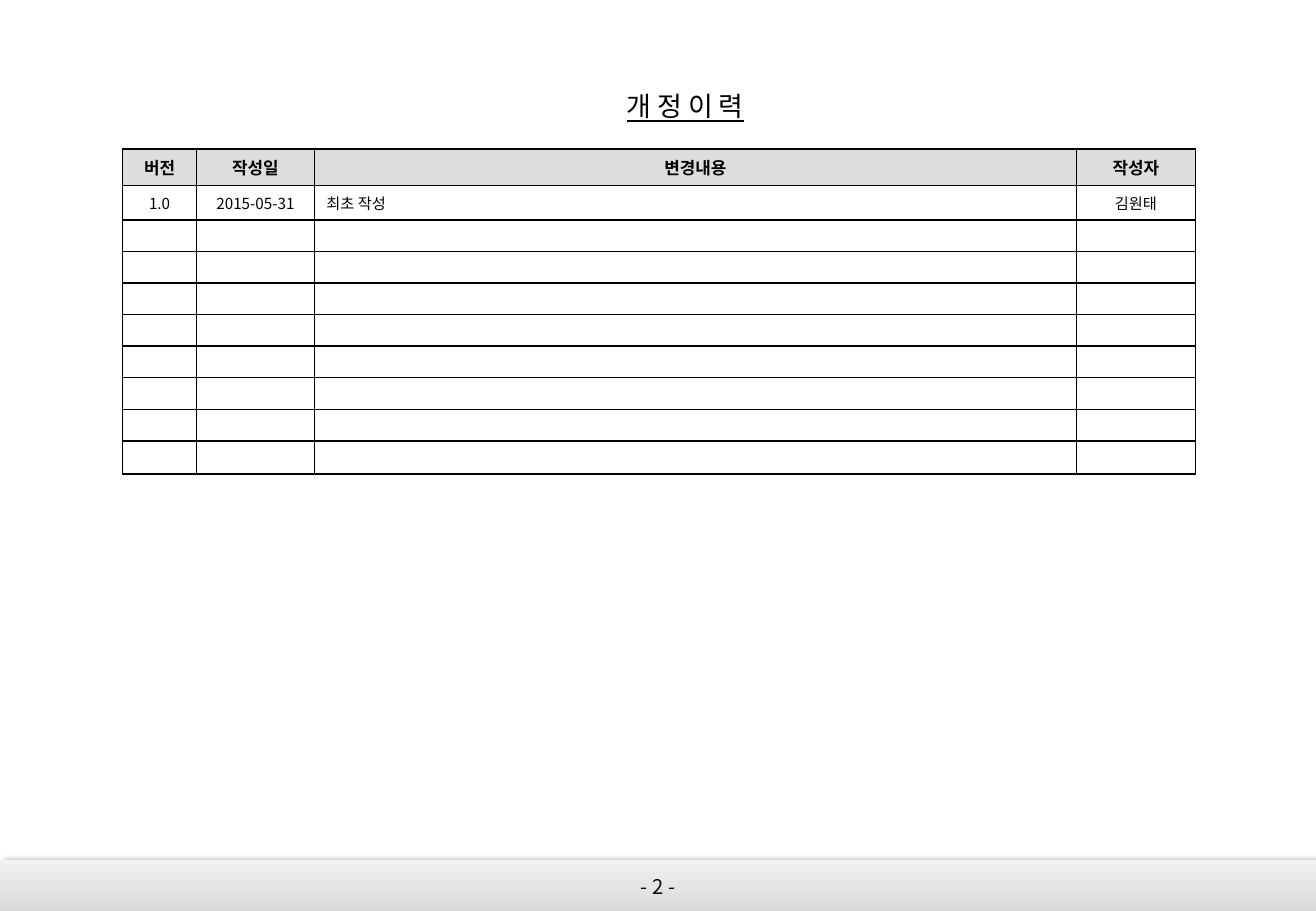
from lxml.etree import SubElement
from pptx import Presentation
from pptx.dml.color import RGBColor
from pptx.enum.shapes import MSO_SHAPE
from pptx.enum.text import MSO_ANCHOR, MSO_AUTO_SIZE, PP_ALIGN
from pptx.oxml.ns import qn
from pptx.util import Cm, Pt

FONT = "Noto Sans CJK KR"
COLORS = {
    "text": "000000",
    "number": "0D0D0D",
    "header": "DDDDDD",
    "border": "000000",
    "shadow": "000000",
    "band_bottom": "D8D8D8",
    "band_top": "F2F2F2",
}
TITLE = {"size": Pt(16), "underline": True}
HEADER = {"size": Pt(10), "bold": True}
BODY = {"size": Pt(9), "bold": False}
NUMBER = {"size": Pt(12)}
FRAME = {
    "vertical_anchor": MSO_ANCHOR.MIDDLE,
    "auto_size": MSO_AUTO_SIZE.NONE,
}

COLUMN_WIDTHS = [1.55, 2.46, 15.93, 2.49]
ROW_HEIGHTS = [0.71] * 2 + [0.66] * 7 + [0.69]
HISTORY = [
    ["버전", "작성일", "변경내용", "작성자"],
    ["1.0", "2015-05-31", "최초 작성", "김원태"],
]
CHANGE_COLUMN = 2


def color(name):
    """Return a named colour."""
    return RGBColor.from_string(COLORS[name])


def apply_format(target, values):
    """Set each attribute from a dict of values."""
    for name, value in values.items():
        setattr(target, name, value)


def write(para, text, values, ink="text", align=PP_ALIGN.CENTER):
    """Write one formatted span in a paragraph."""
    para.alignment = align
    span = para.add_run()
    span.text = text
    apply_format(span.font, {"name": FONT, **values})
    span.font.color.rgb = color(ink)
    SubElement(span.font._element, qn("a:ea"), typeface=FONT)


def add_title(page, text):
    """Place and format the slide title."""
    title = page.shapes.title
    apply_format(title, {"left": Cm(12.52), "top": Cm(1.75),
                         "width": Cm(3.61), "height": Cm(0.94)})
    apply_format(title.text_frame, {**FRAME, "word_wrap": False})
    write(title.text_frame.paragraphs[0], text, TITLE)


def add_borders(cell):
    """Draw a thin line on every side of a cell."""
    properties = cell._tc.get_or_add_tcPr()
    for side in ("a:lnL", "a:lnR", "a:lnT", "a:lnB"):
        line = SubElement(properties, qn(side), w=str(Pt(1)))
        fill = SubElement(line, qn("a:solidFill"))
        SubElement(fill, qn("a:srgbClr"), val=COLORS["border"])


def format_cell(cell, row, column):
    """Fill, border and write one table cell."""
    cell.vertical_anchor = MSO_ANCHOR.MIDDLE
    add_borders(cell)
    if row == 0:
        cell.fill.solid()
        cell.fill.fore_color.rgb = color("header")
    else:
        cell.fill.background()
    para = cell.text_frame.paragraphs[0]
    if row < len(HISTORY):
        left = row > 0 and column == CHANGE_COLUMN
        write(para, HISTORY[row][column], BODY if row else HEADER,
              align=PP_ALIGN.LEFT if left else PP_ALIGN.CENTER)
    else:
        para._p.get_or_add_endParaRPr().set("sz", "700")


def add_history_table(page):
    """Add the revision table with its blank rows."""
    table = page.shapes.add_table(
        len(ROW_HEIGHTS), len(COLUMN_WIDTHS), Cm(2.56), Cm(3.12),
        Cm(sum(COLUMN_WIDTHS)), Cm(sum(ROW_HEIGHTS))).table
    apply_format(table, {"first_row": False, "horz_banding": False})
    for column, width in zip(table.columns, COLUMN_WIDTHS):
        column.width = Cm(width)
    for row, height in zip(table.rows, ROW_HEIGHTS):
        row.height = Cm(height)
    for row in range(len(ROW_HEIGHTS)):
        for column in range(len(COLUMN_WIDTHS)):
            format_cell(table.cell(row, column), row, column)


def add_shadow(shape):
    """Give a shape a soft shadow to the right."""
    shape.shadow.inherit = False
    effects = shape._element.spPr.find(qn("a:effectLst"))
    shadow = SubElement(effects, qn("a:outerShdw"), blurRad=str(Pt(3)),
                        dist=str(Pt(3)), dir="0", rotWithShape="0")
    shade = SubElement(shadow, qn("a:srgbClr"), val=COLORS["shadow"])
    SubElement(shade, qn("a:alpha"), val="40000")


def add_footer_band(page):
    """Add the grey gradient band at the foot of the page."""
    band = page.shapes.add_shape(
        MSO_SHAPE.RECTANGLE, Cm(-0.03), Cm(17.98), Cm(27.54), Cm(1.12))
    band.fill.gradient()
    band.fill.gradient_angle = 90
    for stop, name in zip(band.fill.gradient_stops,
                          ("band_bottom", "band_top")):
        stop.color.rgb = color(name)
    band.line.fill.background()
    add_shadow(band)


def add_page_number(page, text):
    """Add the page number over the footer band."""
    box = page.shapes.add_textbox(Cm(10.54), Cm(18.03), Cm(6.43), Cm(1.02))
    apply_format(box.text_frame, {**FRAME, "word_wrap": True})
    write(box.text_frame.paragraphs[0], text, NUMBER, "number")


def main():
    """Build and save the revision history slide."""
    deck = Presentation()
    apply_format(deck, {"slide_width": Cm(27.51), "slide_height": Cm(19.05)})
    page = deck.slides.add_slide(deck.slide_layouts.get_by_name("Title Only"))
    add_title(page, "개 정 이 력")
    add_history_table(page)
    add_footer_band(page)
    add_page_number(page, "- 2 -")
    deck.save("out.pptx")


if __name__ == "__main__":
    main()
